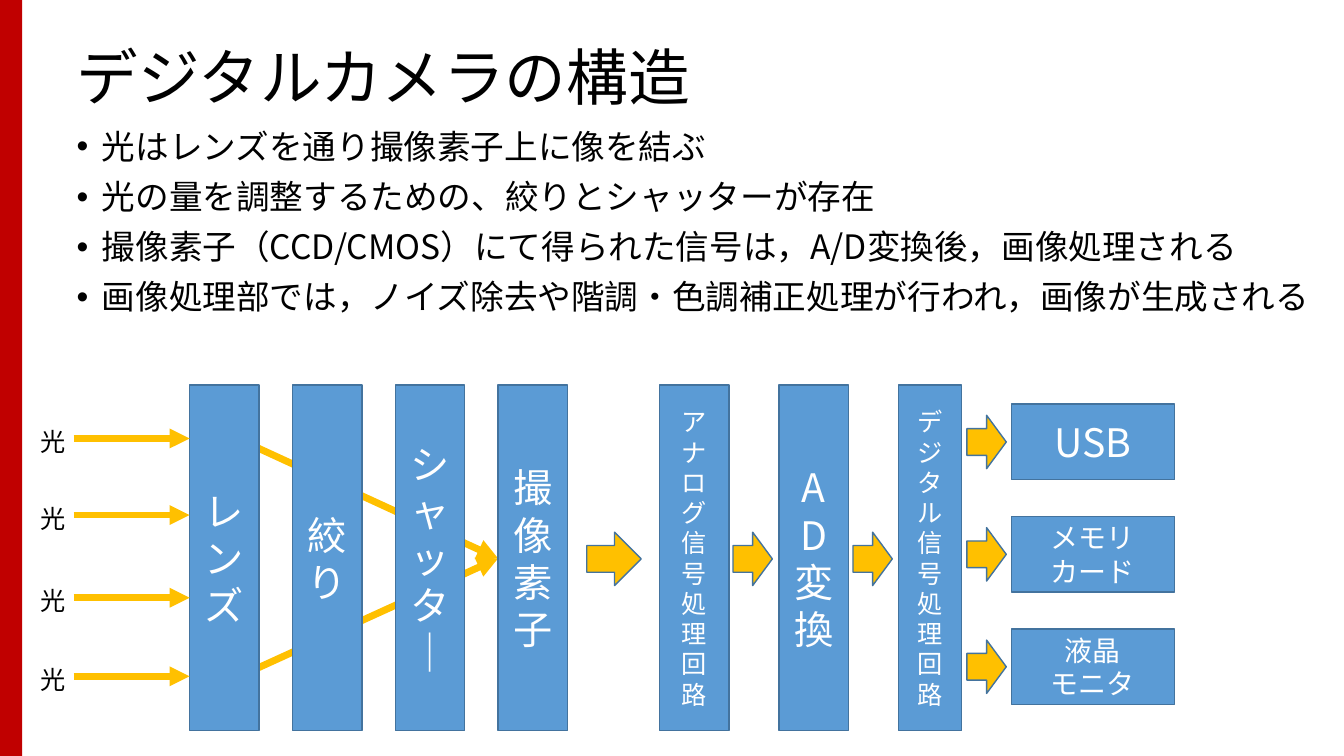
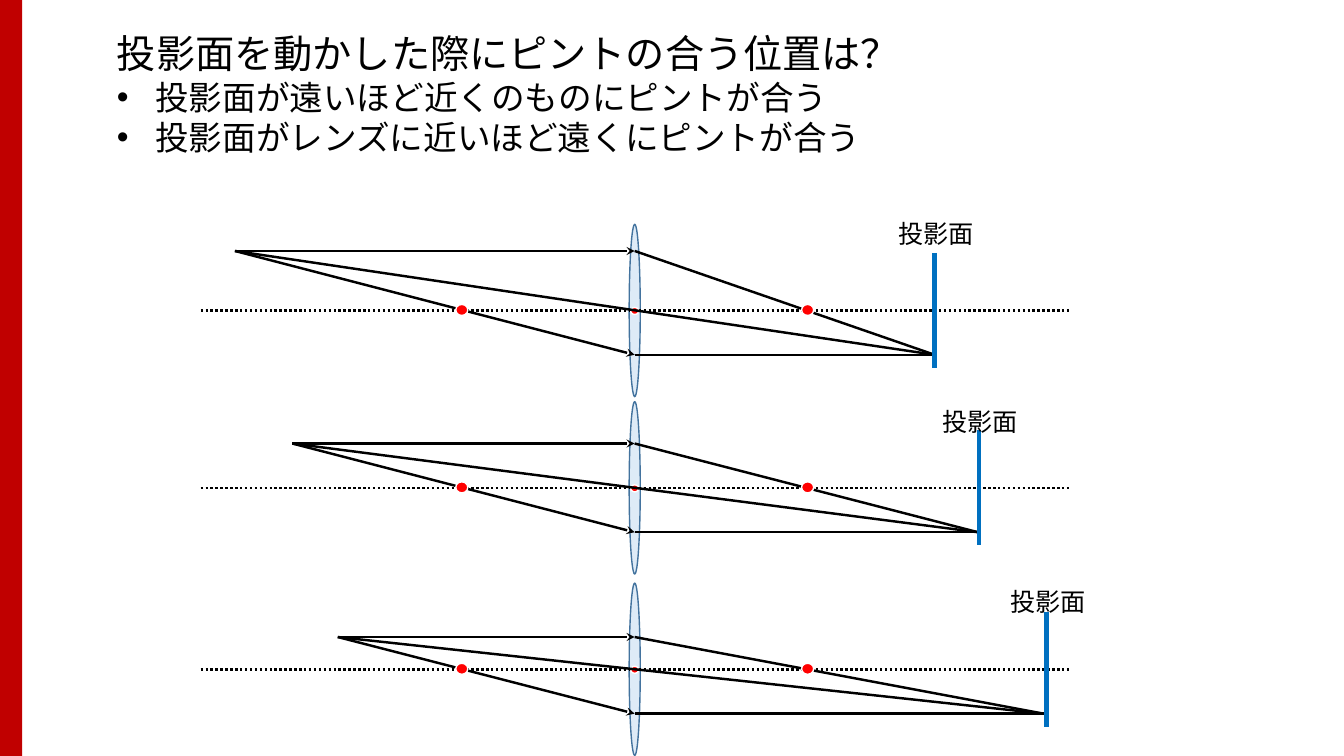
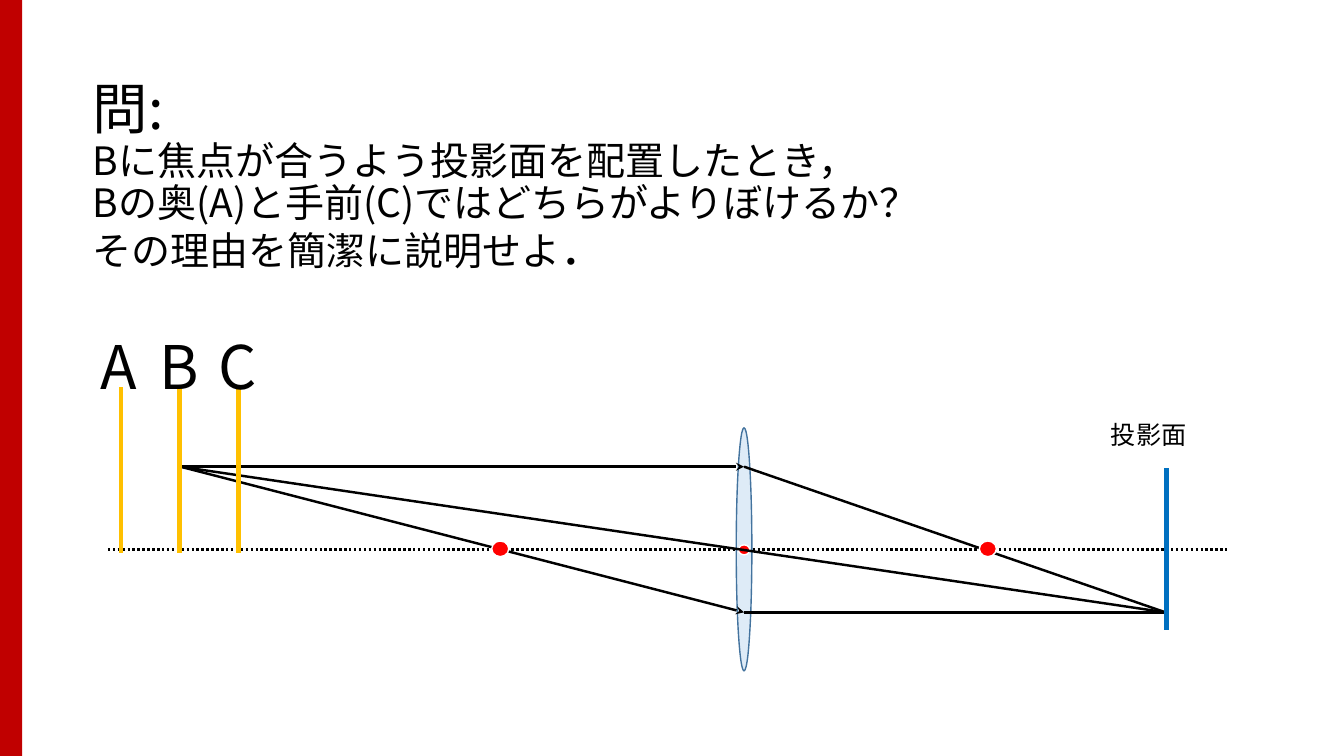
from lxml import etree
from pptx import Presentation
from pptx import util as u
from pptx.dml import color
from pptx.enum import dml, shapes, text
from pptx.oxml import ns

WIDE, HIGH = u.Inches(13.33), u.Inches(7.5)
ROWS = 75
FONT = "Noto Sans CJK JP"
BLACK, WHITE, RED = "000000", "FFFFFF", "FF0000"
BAND, BLUE, EDGE = "C00000", "5B9BD5", "43739E"
GOLD, GLASS, SCREEN = "FFC000", "DEEBF7", "0070C0"
RECT = shapes.MSO_SHAPE.RECTANGLE
OVAL = shapes.MSO_SHAPE.OVAL
ARROW = shapes.MSO_SHAPE.RIGHT_ARROW
LEFT, MID = text.PP_ALIGN.LEFT, text.PP_ALIGN.CENTER
TOP, HALF = text.MSO_ANCHOR.TOP, text.MSO_ANCHOR.MIDDLE


def grid(*cells):
    return [u.Emu(int(n * HIGH / ROWS)) for n in cells]


def hue(code):
    return color.RGBColor.from_string(code)


def ink(run, size, tint=BLACK):
    run.font.size, run.font.name = u.Pt(size), FONT
    run.font.color.rgb = hue(tint)
    east = etree.SubElement(run.font._element, ns.qn("a:ea"))
    east.set("typeface", FONT)


def style(frame, size, tint=BLACK, align=LEFT, anchor=TOP, lead=1, gap=0):
    frame.word_wrap, frame.auto_size = True, text.MSO_AUTO_SIZE.NONE
    frame.vertical_anchor = anchor
    for i, para in enumerate(frame.paragraphs):
        para.alignment, para.line_spacing = align, lead
        para.space_before = u.Pt(gap if i else 0)
        for run in para.runs:
            ink(run, size, tint)


def place(holder, box, words, size, **look):
    holder.left, holder.top, holder.width, holder.height = grid(*box)
    holder.text_frame.text = words
    style(holder.text_frame, size, **look)


def bullets(holder, box, words, size, hang, **look):
    place(holder, box, words, size, **look)
    (inset,) = grid(hang)
    for para in holder.text_frame.paragraphs:
        props = para._p.get_or_add_pPr()
        props.set("marL", str(inset))
        props.set("indent", str(-inset))


def label(slide, box, words, size, **look):
    place(slide.shapes.add_textbox(0, 0, 0, 0), box, words, size, **look)


def shape(slide, kind, box, fill, edge=EDGE):
    item = slide.shapes.add_shape(kind, *grid(*box))
    item.shadow.inherit = False
    item.fill.solid()
    item.fill.fore_color.rgb = hue(fill)
    if edge:
        item.line.color.rgb = hue(edge)
        item.line.width = u.Pt(1)
    else:
        item.line.fill.background()
    return item


def block(slide, box, words, size):
    item = shape(slide, RECT, box, BLUE)
    item.text_frame.text = words
    style(item.text_frame, size, tint=WHITE, align=MID, anchor=HALF)


def dot(slide, x, y, wide, high):
    shape(slide, OVAL, (x - wide / 2, y - high / 2, wide, high), RED, WHITE)


def line(slide, start, end, tint=BLACK, width=1.75, tail=None, dash=None):
    item = slide.shapes.add_connector(
        shapes.MSO_CONNECTOR.STRAIGHT, *grid(*start, *end))
    item.line.color.rgb = hue(tint)
    item.line.width = u.Pt(width)
    if dash:
        item.line.dash_style = dash
    if tail:
        tip = etree.SubElement(item.get_or_add_ln(), ns.qn("a:tailEnd"))
        tip.set("type", tail)
    etree.SubElement(item.element.spPr, ns.qn("a:effectLst"))


def optics(slide, lens, axis, point, focus, screen, note, scale=1):
    x, y = lens
    wide, high = 1.1 * scale, 17.1 * scale
    shape(slide, OVAL, (x - wide / 2, y - high / 2, wide, high), GLASS)
    line(slide, (axis[0], y), (axis[1], y),
         dash=dml.MSO_LINE.ROUND_DOT)
    dot(slide, x, y + 0.05, 0.8 * scale, 0.7 * scale)
    upper, lower = (x, point[1]), (x, focus[1])
    line(slide, point, upper, tail="stealth")
    line(slide, upper, focus)
    line(slide, point, focus)
    line(slide, lower, focus)
    line(slide, point, lower, tail="stealth")
    reach = 5.7 * scale
    line(slide, (screen, y - reach), (screen, y + reach), SCREEN, 3.25)
    label(slide, (*note, 13.5, 4), "投影面", 18)
    for side in (-1, 1):
        dot(slide, x + side * 17.15 * scale, y - 0.05,
            1.2 * scale, 1.1 * scale)


def camera(slide):
    title, body = slide.placeholders
    place(title, (6.6, 4, 126, 8), "デジタルカメラの構造", 44,
          anchor=HALF, lead=0.9)
    bullets(body, (6.6, 12.4, 125.2, 24.3), "\n".join((
        "光はレンズを通り撮像素子上に像を結ぶ",
        "光の量を調整するための、絞りとシャッターが存在",
        "撮像素子（CCD/CMOS）にて得られた信号は，A/D変換後，画像処理される",
        "画像処理部では，ノイズ除去や階調・色調補正処理が行われ，画像が生成される",
    )), 24, 2.5, lead=0.9, gap=10)
    for y in (42.8, 67.9):
        line(slide, (22, y), (49.4, 55.4), GOLD, 5, "triangle")
    parts = ("レ\nン\nズ", "絞り", "シャッタ｜", "撮像素子")
    for i, words in enumerate(parts):
        block(slide, (18.8 + 10.2 * i, 38.2, 6.9, 34.3), words, 28)
    chain = (("アナログ信号処理\n回路", 18, 6.9), ("AD変換", 28, 6.9),
             ("デジタル信号処理回路", 18, 6.3))
    for i, (words, size, wide) in enumerate(chain):
        block(slide, (65.4 + 11.85 * i, 38.2, wide, 34.3), words, size)
    for y in (43.5, 51.1, 59.3, 67.1):
        line(slide, (7.3, y), (18.8, y), GOLD, 4.75, "triangle")
        label(slide, (3, y - 1.7, 4.5, 4), "光", 18)
    for x, wide in ((58.2, 5.4), (72.7, 3.9), (84.6, 3.9)):
        shape(slide, ARROW, (x, 52.8, wide, 5.3), GOLD)
    outs = (("USB", 28), ("メモリ\nカード", 20), ("液晶\nモニタ", 20))
    for i, (words, size) in enumerate(outs):
        y = 40.1 + 11.15 * i
        block(slide, (100.3, y, 16.2, 7.5), words, size)
        shape(slide, ARROW, (95.9, y + 1.1, 3.9, 5.3), GOLD)


def focus(slide):
    title, body = slide.placeholders
    place(title, (10.6, 2.4, 120.4, 5.7),
          "投影面を動かした際にピントの合う位置は？", 28)
    bullets(body, (10.6, 7.1, 120.4, 9.1), "\n".join((
        "投影面が遠いほど近くのものにピントが合う",
        "投影面がレンズに近いほど遠くにピントが合う",
    )), 24, 3.8)
    cases = ((30.8, (23.3, 24.9), (92.7, 35.2), 92.7, 21.2),
             (48.4, (29, 44), (97, 52.8), 97.1, 39.8),
             (66.4, (33.5, 63.2), (103.5, 70.8), 103.8, 57.7))
    for y, point, image, screen, top in cases:
        optics(slide, (62.95, y), (19.9, 106.2), point, image, screen,
               (screen - 4.6, top))


def quiz(slide):
    title = slide.shapes.title
    place(title, (8.2, 7.6, 112.5, 23.2), "\v".join((
        "問:",
        "Bに焦点が合うよう投影面を配置したとき，",
        "Bの奥(A)と手前(C)ではどちらがよりぼけるか？",
        "その理由を簡潔に説明せよ",
    )), 27.9, lead=0.9)
    para = title.text_frame.paragraphs[0]
    para.runs[0].font.size = u.Pt(39.6)
    stop = para.add_run()
    stop.text = "．"
    ink(stop, 32.4)
    optics(slide, (73.8, 54.5), (10.7, 121.7), (17.9, 46.3),
           (115.6, 60.75), 115.7, (109.2, 41.1), 1.41)
    for i, name in enumerate("ABC"):
        x = 12 + 5.85 * i
        line(slide, (x, 38.4), (x, 54.9), GOLD, 3.5)
        label(slide, (x - 3, 33, 7.5, 8), name, 42.9, lead=0.9)


def main():
    deck = Presentation()
    deck.slide_width, deck.slide_height = WIDE, HIGH
    plans = ((camera, 1), (focus, 1), (quiz, 5))
    pages = [deck.slides.add_slide(deck.slide_layouts[n]) for _, n in plans]
    band = shape(pages[0], RECT, (0, 0, 2.2, ROWS), BAND, None)
    deck.slide_master.element.cSld.spTree.insert(2, band.element)
    for page, (draw, _) in zip(pages, plans):
        draw(page)
    deck.save("out.pptx")


if __name__ == "__main__":
    main()
